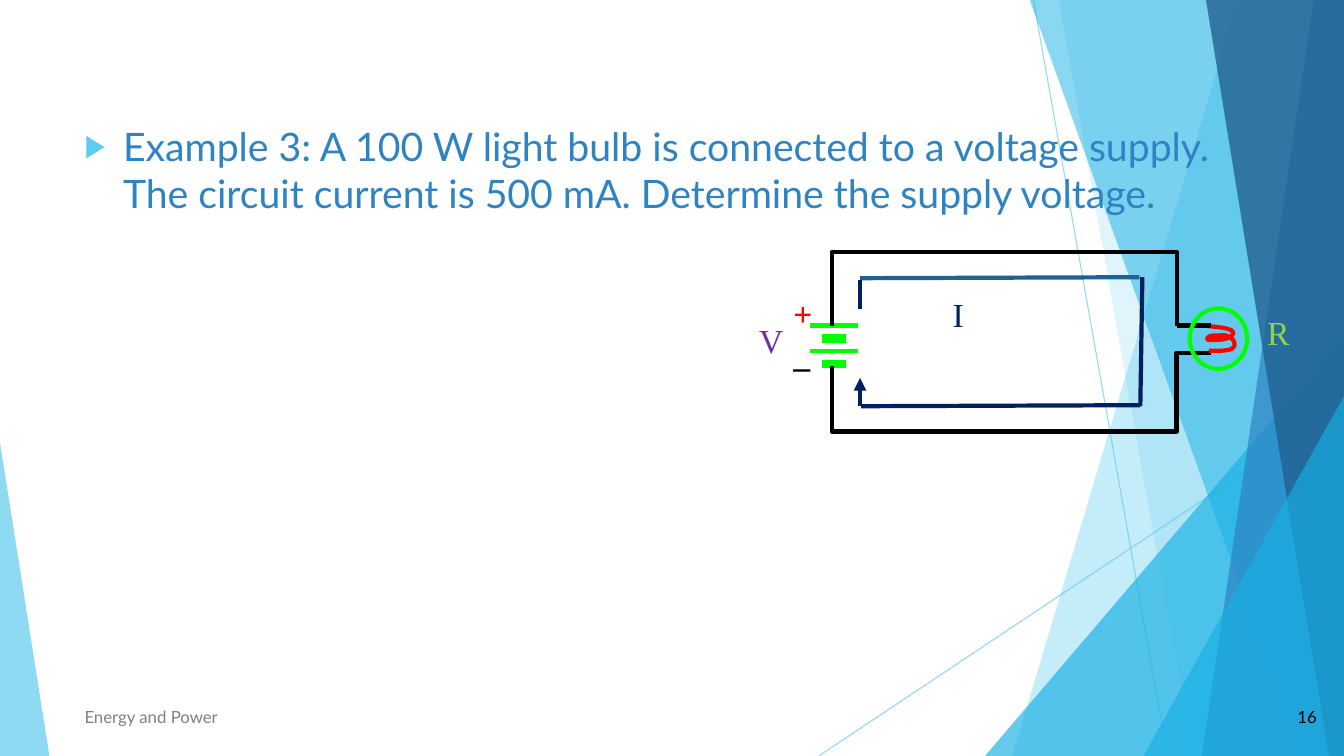
from lxml.etree import SubElement
from pptx import Presentation
from pptx.dml.color import RGBColor
from pptx.enum.shapes import MSO_CONNECTOR, MSO_SHAPE
from pptx.enum.text import MSO_ANCHOR, PP_ALIGN
from pptx.oxml.ns import qn
from pptx.util import Inches, Pt

TOP, BOTTOM, RIGHT = -0.01, 7.5, 13.33
SERIF = "Times New Roman"

BANDS = [
    (12.28, 10.04, "5FCBEF", 36),
    (10.5, 11.83, "5FCBEF", 20),
    (10.21, 12.91, "17B0E4", 50),
    (13.03, 11.92, "2E83C3", 70),
    (11.96, 13.18, "226292", 80),
]
WIRES = [
    [(8.25, 3.23), (8.25, 2.5), (10.38, 2.5)],
    [(10.38, 2.5), (11.67, 2.5), (11.67, 3.23)],
    [(12.01, 3.5), (11.67, 3.5), (11.67, 4.28), (8.25, 4.28), (8.25, 3.63)],
]
FILAMENT_START = (11.96, 3.23)
FILAMENT_CURVES = [
    [(12.05, 3.25), (12.14, 3.24), (12.22, 3.28)],
    [(12.22, 3.29), (12.24, 3.3), (12.23, 3.31)],
    [(12.22, 3.35), (12.16, 3.36), (12.12, 3.37)],
    [(12.07, 3.37), (12.02, 3.38), (11.98, 3.37)],
    [(11.96, 3.36), (12, 3.33), (12.02, 3.33)],
    [(12.15, 3.33), (12.16, 3.31), (12.23, 3.37)],
    [(12.24, 3.4), (12.26, 3.42), (12.23, 3.45)],
    [(12.21, 3.49), (12.01, 3.48), (11.99, 3.48)],
]


def color(hex_string):
    return RGBColor.from_string(hex_string)


def set_alpha(properties, percent):
    for color_element in properties.iter(qn("a:srgbClr")):
        SubElement(color_element, qn("a:alpha"), val=str(percent * 1000))


def fill_shape(shape, fill_color, alpha):
    shape.shadow.inherit = False
    shape.fill.solid()
    shape.fill.fore_color.rgb = color(fill_color)
    shape.line.fill.background()
    set_alpha(shape._element.spPr, alpha)


def outline_shape(shape, line_color):
    shape.shadow.inherit = False
    shape.fill.background()
    shape.line.color.rgb = color(line_color)
    shape.line.width = Pt(3)


def add_line(slide, start, end, line_color, width=3, alpha=None, arrow=False):
    points = [Inches(value) for value in (*start, *end)]
    connector = slide.shapes.add_connector(MSO_CONNECTOR.STRAIGHT, *points)
    connector.line.color.rgb = color(line_color)
    connector.line.width = Pt(width)
    properties = connector._element.spPr
    if alpha:
        set_alpha(properties, alpha)
    if arrow:
        SubElement(properties.find(qn("a:ln")), qn("a:tailEnd"), type="triangle")
    SubElement(properties, qn("a:effectLst"))


def add_path(slide, points, close=False):
    corners = [(Inches(x), Inches(y)) for x, y in points]
    builder = slide.shapes.build_freeform(*corners[0], scale=1.0)
    builder.add_line_segments(corners[1:], close=close)
    return builder.convert_to_shape()


def add_preset(slide, preset, left, top, width, height):
    return slide.shapes.add_shape(
        preset, Inches(left), Inches(top), Inches(width), Inches(height))


def add_triangle(slide, left, top, width, apex, fill_color, alpha):
    shape = add_preset(slide, MSO_SHAPE.ISOSCELES_TRIANGLE,
                       left, top, width, BOTTOM - top)
    shape.adjustments[0] = apex
    fill_shape(shape, fill_color, alpha)


def add_label(slide, box, lines, size=24, font=SERIF, wrap=True,
              anchor=MSO_ANCHOR.TOP, align=PP_ALIGN.LEFT, bold=False):
    text_box = slide.shapes.add_textbox(*[Inches(value) for value in box])
    frame = text_box.text_frame
    frame.word_wrap = wrap
    frame.vertical_anchor = anchor
    for index, (text, text_color) in enumerate(lines):
        paragraph = frame.add_paragraph() if index else frame.paragraphs[0]
        paragraph.text = text
        paragraph.alignment = align
        paragraph.font.name = font
        paragraph.font.size = Pt(size)
        paragraph.font.bold = bold
        paragraph.font.color.rgb = color(text_color)


def curve_points(start, curves, steps=8):
    points = [start]
    for first, second, end in curves:
        origin = points[-1]
        for step in range(1, steps + 1):
            t = step / steps
            u = 1 - t
            points.append(tuple(
                u**3 * a + 3 * u * u * t * b + 3 * u * t * t * c + t**3 * d
                for a, b, c, d in zip(origin, first, second, end)))
    return points


def add_background(slide):
    add_line(slide, (10.25, 0), (11.58, BOTTOM), "5FCBEF", 0.75, 70)
    add_line(slide, (RIGHT, 4.03), (8.12, BOTTOM), "5FCBEF", 0.75, 70)
    for index, (top_x, bottom_x, fill_color, alpha) in enumerate(BANDS):
        if index == 2:
            add_triangle(slide, 9.77, 3.33, 3.56, 1, "17B0E4", 66)
        corners = [(top_x, TOP), (RIGHT, TOP), (RIGHT, BOTTOM), (bottom_x, BOTTOM)]
        fill_shape(add_path(slide, corners, close=True), fill_color, alpha)
    add_triangle(slide, 11.34, 3.93, 1.99, 1, "17B0E4", 66)
    add_triangle(slide, 0, 4.39, 0.49, 0, "5FCBEF", 70)


def add_question(slide, text):
    body = slide.placeholders[1]
    body.left, body.top = Inches(0.74), Inches(1.16)
    body.width, body.height = Inches(11.66), Inches(1.04)
    slide.shapes._spTree.append(body._element)
    paragraph = body.text_frame.paragraphs[0]
    paragraph.text = text
    properties = paragraph._p.get_or_add_pPr()
    properties.set("marL", str(Inches(0.38)))
    properties.set("indent", str(Inches(-0.38)))
    bullet_color = SubElement(properties, qn("a:buClr"))
    SubElement(bullet_color, qn("a:srgbClr"), val="5FCBEF")
    SubElement(properties, qn("a:buSzPct"), val="80000")
    SubElement(properties, qn("a:buChar"), char="▶")
    paragraph.space_before = Pt(0)
    paragraph.font.name = "Lato"
    paragraph.font.size = Pt(28)
    paragraph.font.color.rgb = color("2E83C3")


def add_circuit(slide):
    for index in range(4):
        half_width, width = ((0.24, 3), (0.12, 6))[index % 2]
        y = 3.23 + index * 0.127
        add_line(slide, (8.27 + half_width, y), (8.27 - half_width, y),
                 "00FF00", width)
    for wire in WIRES:
        outline_shape(add_path(slide, wire), "000000")
    filament = add_path(slide, curve_points(FILAMENT_START, FILAMENT_CURVES))
    outline_shape(filament, "FF0000")
    add_line(slide, (11.67, 3.23), (12.01, 3.23), "000000")
    bulb = add_preset(slide, MSO_SHAPE.OVAL, 11.8, 3.06, 0.57, 0.6)
    outline_shape(bulb, "00FF00")
    add_label(slide, (7.43, 3.12, 0.44, 0.5), [("V", "7030A0")], wrap=False)
    add_label(slide, (7.77, 2.86, 0.39, 0.91),
              [("+", "FF0000"), ("_", "000000")], wrap=False, bold=True)


def add_current_loop(slide):
    add_line(slide, (8.53, 2.76), (11.3, 2.75), "226292")
    add_line(slide, (8.54, 4.03), (11.31, 4.02), "002060")
    add_line(slide, (11.31, 4.03), (11.33, 2.75), "002060")
    add_line(slide, (8.53, 3.07), (8.53, 2.78), "002060")
    add_line(slide, (8.53, 4.03), (8.53, 3.75), "002060", arrow=True)
    add_label(slide, (9.35, 2.87, 0.95, 0.5), [("I", "002060")])
    add_label(slide, (12.47, 3.05, 0.47, 0.5), [("R", "92D050")])


def add_footer(slide):
    add_label(slide, (0.74, 6.91, 6.89, 0.4), [("Energy and Power", "808080")],
              12, "Lato", anchor=MSO_ANCHOR.MIDDLE)
    add_label(slide, (12.41, 6.91, 0.75, 0.4), [("16", "000000")],
              12, "Lato", anchor=MSO_ANCHOR.MIDDLE, align=PP_ALIGN.RIGHT)


def main():
    presentation = Presentation()
    presentation.slide_width = Inches(13.33)
    presentation.slide_height = Inches(7.5)
    slide = presentation.slides.add_slide(presentation.slide_layouts[1])
    title = slide.shapes.title._element
    title.getparent().remove(title)
    add_background(slide)
    add_question(slide, "Example 3: A 100 W light bulb is connected to a voltage "
                 "supply. The circuit current is 500 mA. Determine the supply voltage.")
    add_circuit(slide)
    add_current_loop(slide)
    add_footer(slide)
    presentation.save("out.pptx")


if __name__ == "__main__":
    main()
